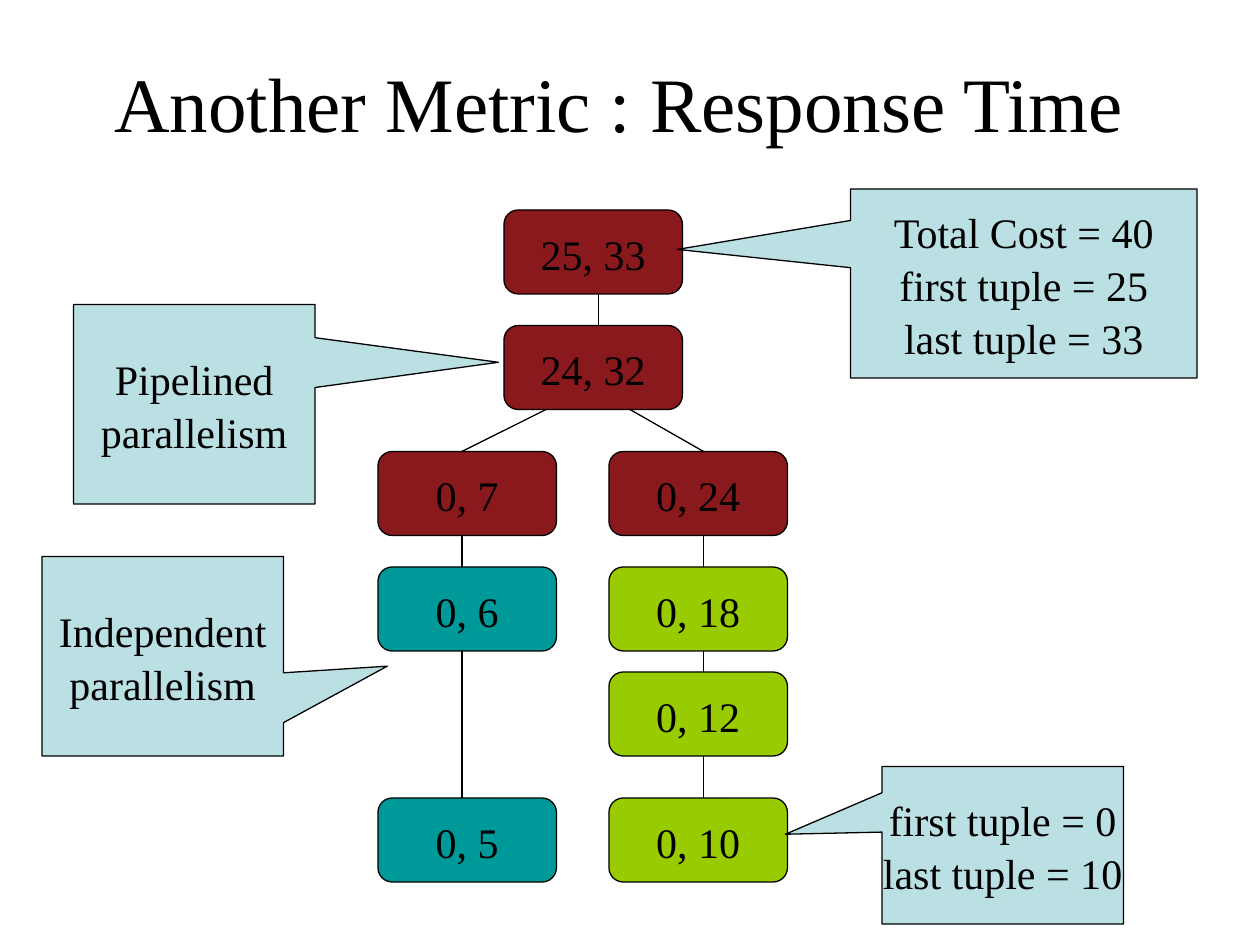
"""Builds a slide of an operator tree with response times and callouts."""
from lxml.etree import SubElement
from pptx import Presentation
from pptx.dml.color import RGBColor
from pptx.enum.shapes import MSO_CONNECTOR, MSO_SHAPE
from pptx.enum.text import MSO_ANCHOR, PP_ALIGN
from pptx.oxml.ns import qn
from pptx.util import Pt

BLACK = RGBColor(0x00, 0x00, 0x00)
RED = RGBColor(0x8A, 0x19, 0x1D)
TEAL = RGBColor(0x00, 0x99, 0x99)
GREEN = RGBColor(0x99, 0xCC, 0x00)
PALE = RGBColor(0xBB, 0xE0, 0xE3)
FONT = "Times New Roman"
LINE_W = 0.74

TITLE = "Another Metric : Response Time"
ROOT_X, LEFT_X, RIGHT_X = 288, 216, 348
NODE_W, NODE_H = 102, 48
NODES = {
    "root": ("25, 33", ROOT_X, 120, RED),
    "join": ("24, 32", ROOT_X, 186, RED),
    "left top": ("0, 7", LEFT_X, 258, RED),
    "left mid": ("0, 6", LEFT_X, 324, TEAL),
    "left leaf": ("0, 5", LEFT_X, 456, TEAL),
    "right top": ("0, 24", RIGHT_X, 258, RED),
    "right upper": ("0, 18", RIGHT_X, 324, GREEN),
    "right lower": ("0, 12", RIGHT_X, 384, GREEN),
    "right leaf": ("0, 10", RIGHT_X, 456, GREEN),
}
LINKS = [
    ("root", "join", 342, 342),
    ("join", "left top", 312, 264),
    ("join", "right top", 360, 402),
    ("left top", "left mid", 264, 264),
    ("left mid", "left leaf", 264, 264),
    ("right top", "right upper", 402, 402),
    ("right upper", "right lower", 402, 402),
    ("right lower", "right leaf", 402, 402),
]
CALLOUTS = [
    (["Total Cost = 40", "first tuple = 25", "last tuple = 33"],
     (486, 108, 198, 108), (-1.0, -0.18)),
    (["first tuple = 0", "last tuple = 10"], (504, 438, 138, 90), (-0.9, -0.07)),
    (["Pipelined", "parallelism"], (42, 174, 138, 114), (1.26, -0.21)),
    (["Independent", "parallelism"], (24, 318, 138, 114), (0.93, 0.05)),
]


def write(tf, lines, size=24, wrap=False):
    """Fill a text frame with centred lines."""
    tf.word_wrap = wrap
    tf.vertical_anchor = MSO_ANCHOR.MIDDLE
    for i, line in enumerate(lines):
        p = tf.add_paragraph() if i else tf.paragraphs[0]
        p.alignment = PP_ALIGN.CENTER
        p.line_spacing = 1.05
        r = p.add_run()
        r.text = line
        r.font.name = FONT
        r.font.size = Pt(size)
        r.font.color.rgb = BLACK


def add_box(shapes, kind, box, fill, lines, adjustments):
    """Add an outlined, filled shape with text."""
    sp = shapes.add_shape(kind, *map(Pt, box))
    for i, value in enumerate(adjustments):
        sp.adjustments[i] = value
    sp.shadow.inherit = False
    sp.fill.solid()
    sp.fill.fore_color.rgb = fill
    sp.line.color.rgb = BLACK
    sp.line.width = Pt(LINE_W)
    write(sp.text_frame, lines)


def add_link(shapes, x1, y1, x2, y2):
    """Add a plain line between two points."""
    ln = shapes.add_connector(MSO_CONNECTOR.STRAIGHT, *map(Pt, (x1, y1, x2, y2)))
    ln.line.color.rgb = BLACK
    ln.line.width = Pt(LINE_W)
    SubElement(ln._element.spPr, qn("a:effectLst"))


prs = Presentation()
prs.slide_width, prs.slide_height = Pt(720), Pt(540)
s = prs.slides.add_slide(prs.slide_layouts[5])
title = s.shapes.title
title.left, title.top, title.width, title.height = map(Pt, (48, 12, 612, 90))
write(title.text_frame, [TITLE], size=44, wrap=True)

for text, x, y, fill in NODES.values():
    add_box(s.shapes, MSO_SHAPE.ROUNDED_RECTANGLE, (x, y, NODE_W, NODE_H), fill,
            [text], [0.17])
for parent, child, x1, x2 in LINKS:
    add_link(s.shapes, x1, NODES[parent][2] + NODE_H, x2, NODES[child][2])
for lines, box, tip in CALLOUTS:
    add_box(s.shapes, MSO_SHAPE.RECTANGULAR_CALLOUT, box, PALE, lines, tip)

prs.save("out.pptx")
